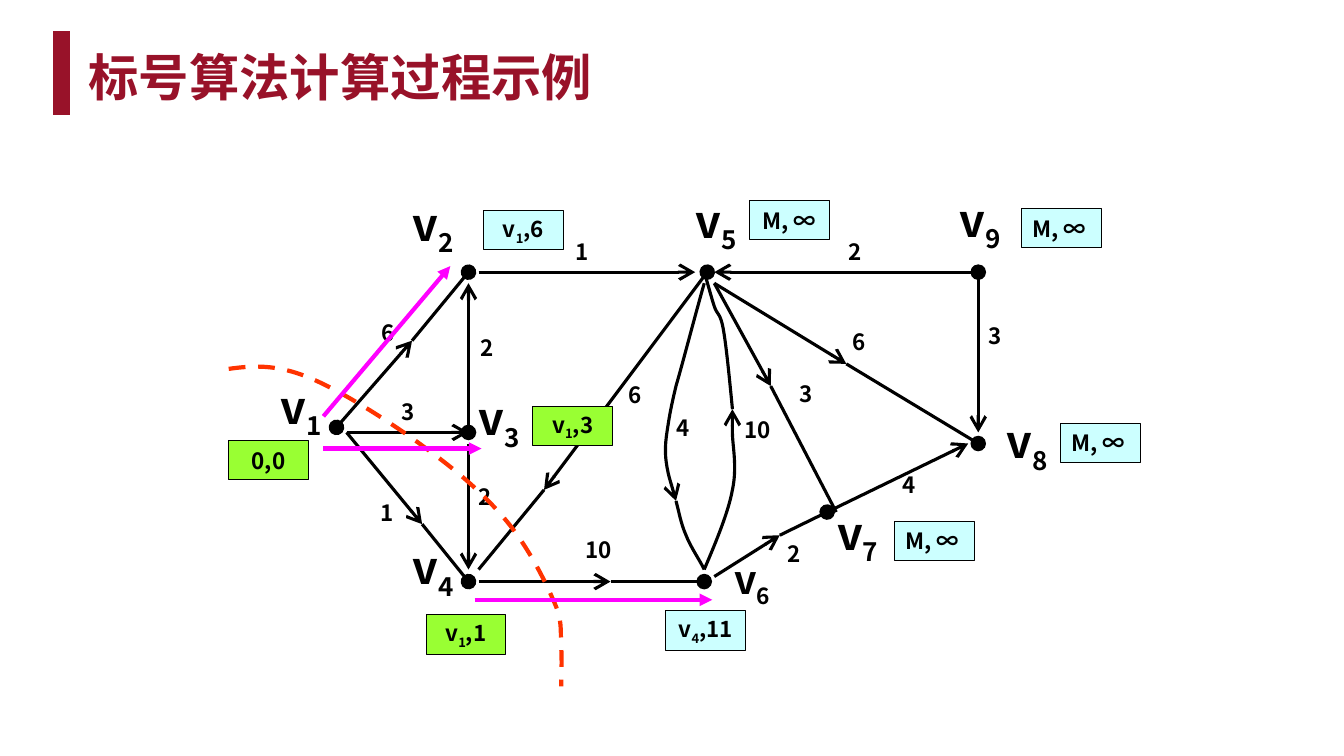
"""Build the slide with the labelled shortest-path network."""
from lxml import etree
from pptx import Presentation
from pptx import util as u
from pptx.dml.color import RGBColor
from pptx.enum import dml, shapes, text
from pptx.oxml.ns import qn

FONT = "Noto Sans CJK SC"
BLACK = RGBColor(0, 0, 0)
WINE = RGBColor(0x98, 0x12, 0x29)
CYAN = RGBColor(0xCC, 0xFF, 0xFF)
GREEN = RGBColor(0x99, 0xFF, 0x33)
PINK = RGBColor(0xFF, 0, 0xFF)
ORANGE = RGBColor(0xFF, 0x33, 0)
LEFT, MID = text.PP_ALIGN.LEFT, text.PP_ALIGN.CENTER

TITLE = "标号算法计算过程示例"
V1, V2, V3, V4 = (3.34, 4.24), (4.65, 2.7), (4.65, 4.29), (4.65, 5.77)
V5, V6, V7 = (7.02, 2.7), (6.99, 5.77), (8.21, 5.08)
V8, V9 = (9.71, 4.4), (9.71, 2.7)
OUT1, OUT5 = (3.44, 4.29), (7.09, 2.81)
MID12, MID14, MID54, MID46 = (4.09, 3.38), (4.19, 5.2), (5.4, 4.86), (6.06, 5.77)
MID67, MID57, MID58 = (7.74, 5.31), (7.65, 3.83), (8.4, 3.61)

EDGES = [
    (V1, MID12, "oval", "arrow"), (MID12, V2, None, "oval"),
    (OUT1, MID14, None, "arrow"), (MID14, V4, None, "oval"),
    (OUT1, V3, None, "arrow"),
    (V3, (4.65, 2.81), "oval", "arrow"), ((4.65, 4.4), (4.65, 5.65), None, "arrow"),
    ((4.75, 2.7), (6.9, 2.7), None, "arrow"),
    (MID54, V5, "arrow", "oval"), (MID54, (4.75, 5.65), None, None),
    ((4.75, 5.77), MID46, None, "arrow"), (MID46, V6, None, "oval"),
    ((7.09, 5.72), MID67, None, "arrow"), (MID67, V7, None, "oval"),
    (OUT5, MID57, None, "arrow"), (MID57, (8.3, 5.08), None, None),
    (OUT5, MID58, None, "arrow"), (MID58, V8, None, "oval"),
    (V7, (9.61, 4.4), None, "arrow"),
    (V9, (9.71, 4.29), "oval", "arrow"), (V9, (7.09, 2.7), None, "arrow"),
]
CURVES = [
    ([(6.99, 2.81), (6.88, 3.2), (6.78, 3.59), (6.71, 3.83), (6.65, 4.08),
      (6.64, 4.16), (6.62, 4.29), (6.6, 4.42), (6.6, 4.52), (6.62, 4.63),
      (6.64, 4.74), (6.7, 4.93), (6.71, 4.97)], "arrow"),
    ([(6.71, 4.97), (6.74, 5.08), (6.76, 5.2), (6.81, 5.31), (6.85, 5.42),
      (6.96, 5.58), (6.99, 5.65)], None),
    ([(6.99, 5.65), (7.11, 5.37), (7.23, 5.08), (7.27, 4.86), (7.32, 4.63),
      (7.27, 4.42), (7.27, 4.29), (7.27, 4.16), (7.27, 4.1), (7.27, 4.06)], "arrow"),
    ([(7.27, 4.06), (7.24, 3.75), (7.21, 3.44), (7.18, 3.27), (7.15, 3.1),
      (7.12, 3.13), (7.09, 3.04), (7.06, 2.95), (7.01, 2.76), (6.99, 2.7)], None),
]
CUT = [(2.27, 3.66), (2.49, 3.63), (2.73, 3.61), (3.05, 3.74), (3.38, 3.87),
       (3.91, 4.21), (4.23, 4.45), (4.56, 4.69), (4.81, 4.91), (5.02, 5.16),
       (5.23, 5.41), (5.4, 5.74), (5.49, 5.95), (5.59, 6.16), (5.56, 6.27),
       (5.57, 6.42), (5.58, 6.56), (5.57, 6.73), (5.57, 6.81)]
ROUTES = [((3.21, 4.13), (4.47, 2.64)), ((4.71, 5.95), (7.07, 5.95)),
          ((3.21, 4.45), (4.78, 4.45))]
NODES = [
    ("1", 2.69, 3.72, 0.91, 32), ("2", 4, 1.9, 0.68, 32), ("3", 4.65, 3.83, 0.84, 32),
    ("4", 4, 5.31, 0.71, 32), ("5", 6.81, 1.87, 0.71, 32), ("6", 7.19, 5.46, 0.67, 28),
    ("7", 8.21, 4.97, 0.71, 32), ("8", 9.89, 4.06, 0.71, 32), ("9", 9.43, 1.86, 0.71, 32),
]
COSTS = [
    ("6", 3.6, 3.12, 0.51, MID), ("3", 3.8, 3.9, 0.51, MID), ("1", 3.56, 4.9, 0.56, MID),
    ("2", 4.53, 3.27, 0.61, MID), ("2", 4.65, 4.74, 0.75, LEFT),
    ("1", 5.47, 2.31, 0.62, MID), ("6", 5.88, 3.73, 0.84, MID),
    ("10", 5.43, 5.27, 1.03, MID), ("4", 6.62, 4.06, 0.51, LEFT),
    ("10", 7.29, 4.08, 0.84, LEFT), ("2", 7.51, 5.31, 0.75, MID),
    ("3", 7.84, 3.72, 0.56, LEFT), ("6", 8.36, 3.21, 0.65, LEFT),
    ("2", 7.83, 2.31, 1.31, MID), ("3", 9.71, 3.15, 0.66, LEFT),
    ("4", 8.86, 4.63, 0.85, LEFT),
]
TAGS = [
    (("0,0",), 2.27, 4.37, GREEN), (("v", "1", ",6"), 4.8, 2.09, CYAN),
    (("v", "1", ",3"), 5.29, 4.03, GREEN), (("v", "1", ",1"), 4.23, 6.1, GREEN),
    (("M, ∞",), 7.44, 1.99, CYAN), (("v", "4", ",11"), 6.61, 6.06, CYAN),
    (("M, ∞ ",), 8.88, 5.17, CYAN), (("M, ∞ ",), 10.53, 4.2, CYAN),
    (("M, ∞ ",), 10.14, 2.07, CYAN),
]

deck = Presentation()
deck.slide_width, deck.slide_height = u.Inches(13.34), u.Inches(7.5)
slide = deck.slides.add_slide(deck.slide_layouts[6])
items = slide.shapes


def write(shape, parts, size, align, color=BLACK):
    """Fill a shape with runs; every second part is a subscript."""
    para = shape.text_frame.paragraphs[0]
    para.alignment = align
    for i, part in enumerate(parts):
        run = para.add_run()
        run.text = part
        font = run.font
        font.size, font.bold = u.Pt(size), True
        font.color.rgb = color
        font.name = FONT
        props = run._r.get_or_add_rPr()
        etree.SubElement(props, qn("a:ea")).set("typeface", FONT)
        if i % 2:
            props.set("baseline", "-25000")


def label(parts, x, y, w, h, size, align, color=BLACK):
    """Add a wrapped text box."""
    box = items.add_textbox(*map(u.Inches, (x, y, w, h)))
    box.text_frame.word_wrap = True
    box.text_frame.auto_size = text.MSO_AUTO_SIZE.SHAPE_TO_FIT_TEXT
    write(box, parts, size, align, color)


def stroke(shape, color, width, head=None, tail=None, dash=None):
    """Style an outline and its two ends."""
    line = shape.line
    line.color.rgb, line.width = color, u.Pt(width)
    if dash:
        line.dash_style = dash
    for tag, kind in (("a:headEnd", head), ("a:tailEnd", tail)):
        if kind:
            end = etree.SubElement(line._get_or_add_ln(), qn(tag))
            end.set("type", kind)
            grade = "med" if kind == "triangle" else "lg"
            end.set("w", grade)
            end.set("len", grade)
    etree.SubElement(shape._element.spPr, qn("a:effectLst"))


def link(start, stop, color, width, head=None, tail=None):
    """Draw a straight line between two points."""
    ends = map(u.Inches, (*start, *stop))
    line = items.add_connector(shapes.MSO_CONNECTOR.STRAIGHT, *ends)
    stroke(line, color, width, head, tail)


def bend(points, color, width, tail=None, dash=None):
    """Draw a chain of cubic curves."""
    first, *rest = [tuple(map(u.Inches, point)) for point in points]
    pen = items.build_freeform(*first)
    pen.add_line_segments(rest, close=False)
    shape = pen.convert_to_shape()
    legs = list(shape._element.iter(qn("a:lnTo")))
    for i in range(0, len(legs), 3):
        curve = etree.Element(qn("a:cubicBezTo"))
        legs[i].addprevious(curve)
        for leg in legs[i:i + 3]:
            curve.append(leg[0])
            leg.getparent().remove(leg)
    shape.fill.background()
    stroke(shape, color, width, tail=tail, dash=dash)


for start, stop, head, tail in EDGES:
    link(start, stop, BLACK, 2.25, head, tail)
for points, tail in CURVES:
    bend(points, BLACK, 2.25, tail)
for name, x, y, w, size in NODES:
    label(("v", name), x, y, w, 0.71 if size == 32 else 0.63, size, LEFT)
for cost, x, y, w, align in COSTS:
    label((cost,), x, y, w, 0.37, 16, align)
for parts, x, y, color in TAGS:
    tag = items.add_shape(shapes.MSO_SHAPE.RECTANGLE, *map(u.Inches, (x, y, 0.79, 0.39)))
    tag.fill.solid()
    tag.fill.fore_color.rgb = color
    stroke(tag, BLACK, 0.75)
    tag.text_frame.word_wrap = False
    tag.text_frame.vertical_anchor = text.MSO_ANCHOR.MIDDLE
    write(tag, parts, 16, MID)
bend(CUT, ORANGE, 3, dash=dml.MSO_LINE.DASH)
for start, stop in ROUTES:
    link(start, stop, PINK, 3, tail="triangle")
label((TITLE,), 0.78, 0.41, 12.11, 0.7, 36, LEFT, WINE)
link((0.61, 0.31), (0.61, 1.14), WINE, 12)

deck.save("out.pptx")
